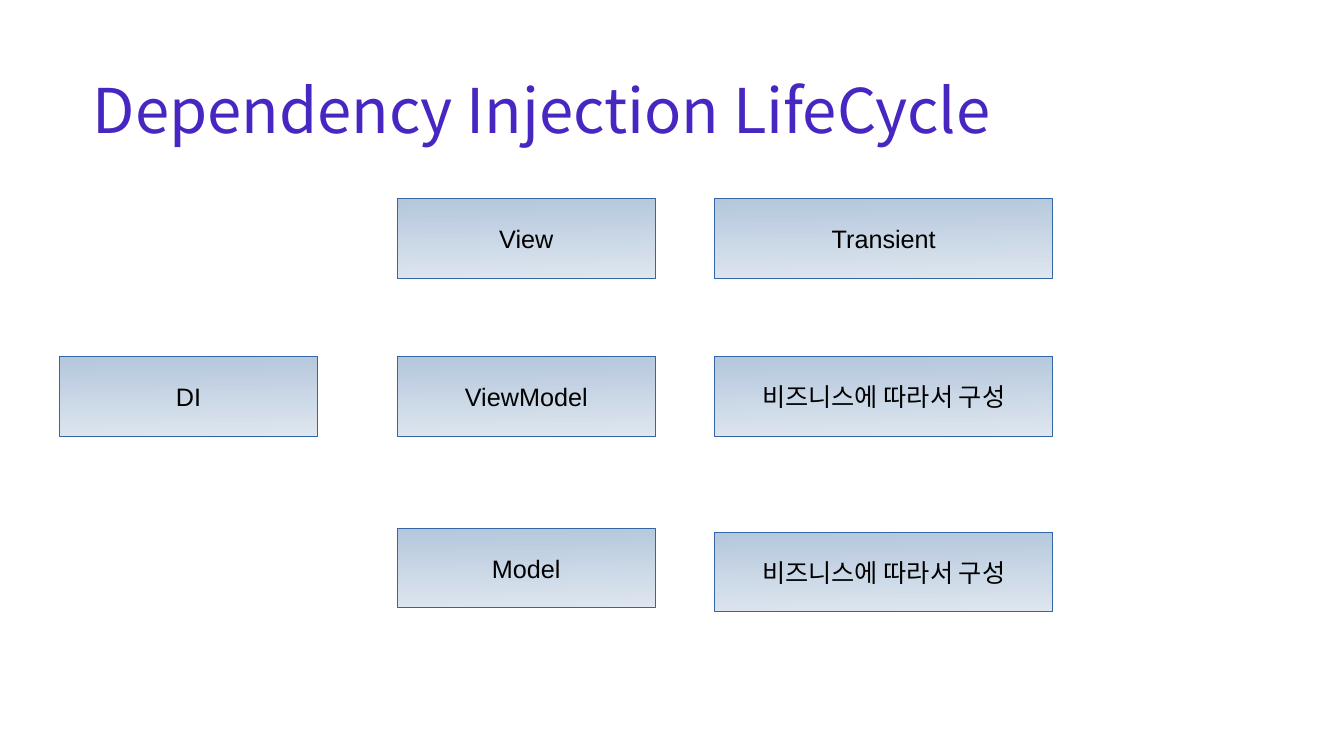
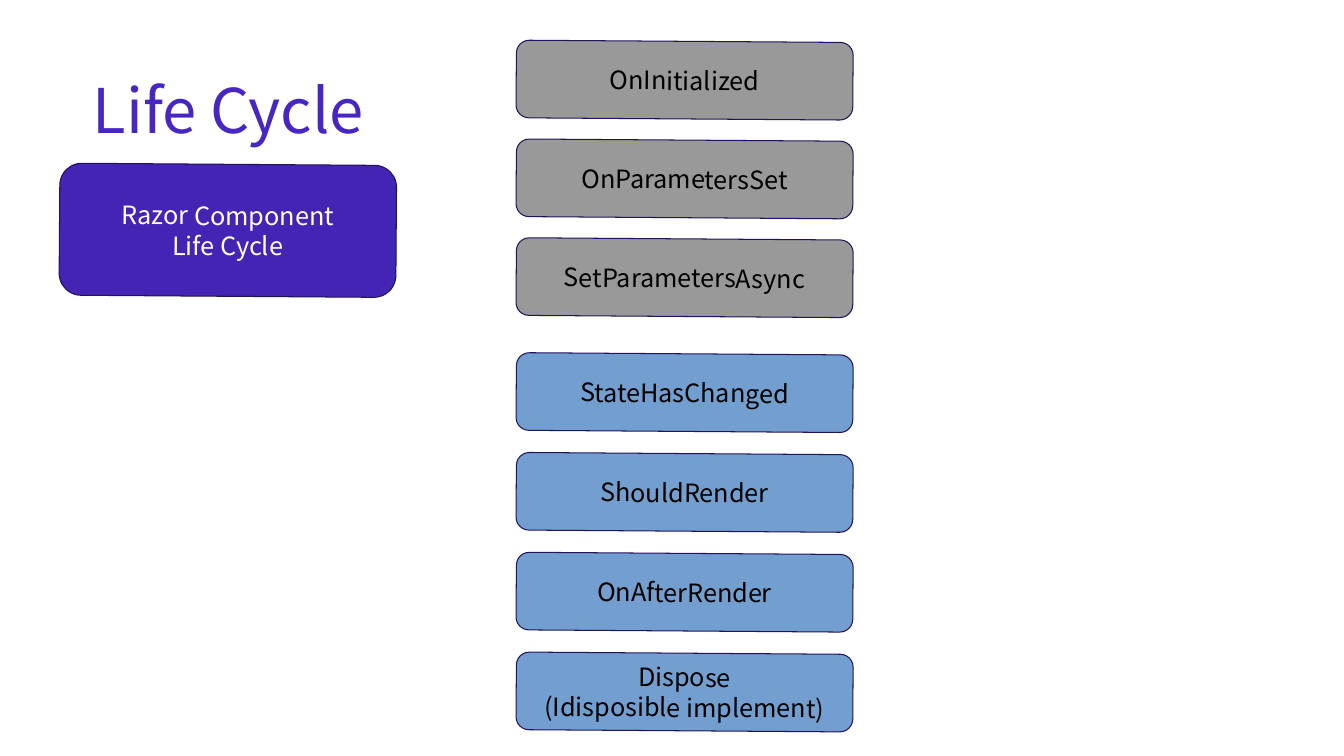
"""Build two slides on dependency injection and component life cycles."""
from dataclasses import dataclass
from typing import Any

from lxml.etree import SubElement
from pptx import Presentation
from pptx.dml.color import RGBColor
from pptx.enum.shapes import MSO_SHAPE
from pptx.enum.text import MSO_ANCHOR, PP_ALIGN
from pptx.oxml.ns import qn
from pptx.slide import Slide
from pptx.text.text import TextFrame
from pptx.util import Inches, Pt

NOTO = "Noto Sans CJK KR"
BLACK, WHITE = "000000", "FFFFFF"
TITLE_PURPLE, PURPLE, DARK_PURPLE = "4826C1", "4424B5", "22125B"
GREY, BLUE = "999999", "729FCF"
GRADIENT, GRADIENT_LINE = ("B4C7DC", "DEE6EF"), "3465A4"
TILT = 0.4


@dataclass(frozen=True)
class BoxStyle:
    """Look of a labelled box."""

    shape_type: MSO_SHAPE
    fills: tuple[str, ...]
    line: str
    font: str
    text_color: str = BLACK
    rotation: float = 0


@dataclass(frozen=True)
class Box:
    """Label and place of a box, in inches."""

    text: str
    left: float
    top: float
    width: float
    height: float


@dataclass(frozen=True)
class StepGroup:
    """Run of equally spaced life cycle steps."""

    fill: str
    top: float
    pitch: float
    labels: tuple[str, ...]


STEP_GROUPS = (
    StepGroup(GREY, 0.41, 0.98, ("OnInitialized", "OnParametersSet", "SetParametersAsync")),
    StepGroup(BLUE, 3.51, 0.99, ("StateHasChanged", "ShouldRender", "OnAfterRender",
                                 "Dispose\n(Idisposible implement)")),
)


def color(value: str) -> RGBColor:
    """Turn a hex string into a colour."""
    return RGBColor.from_string(value)


def apply_format(target: Any, values: dict[str, Any]) -> None:
    """Set every given attribute on the target."""
    for name, value in values.items():
        setattr(target, name, value)


def write_text(frame: TextFrame, text: str, size: int, font: str, text_color: str,
               paragraph_format: dict[str, Any]) -> None:
    """Fill a text frame with one paragraph per line of text."""
    apply_format(frame, {"word_wrap": True, "vertical_anchor": MSO_ANCHOR.MIDDLE})
    frame.text = text
    for paragraph in frame.paragraphs:
        apply_format(paragraph, paragraph_format)
        for run in paragraph.runs:
            apply_format(run.font, {"size": Pt(size), "name": font})
            run.font.color.rgb = color(text_color)
            SubElement(run.font._element, qn("a:ea")).set("typeface", NOTO)


def add_title(slide: Slide, text: str) -> None:
    """Add the shared slide title."""
    title = slide.shapes.add_textbox(Inches(0.92), Inches(0.4), Inches(11.5), Inches(1.45))
    margins = ("margin_left", "margin_top", "margin_right", "margin_bottom")
    apply_format(title.text_frame, dict.fromkeys(margins, 0))
    write_text(title.text_frame, text, 44, NOTO, TITLE_PURPLE, {"line_spacing": 0.9})


def add_box(slide: Slide, box: Box, style: BoxStyle) -> None:
    """Add a box with a solid or gradient fill and a centred label."""
    shape = slide.shapes.add_shape(style.shape_type, Inches(box.left), Inches(box.top),
                                   Inches(box.width), Inches(box.height))
    shape.shadow.inherit = False
    shape.rotation = style.rotation
    if len(style.fills) == 1:
        shape.fill.solid()
        shape.fill.fore_color.rgb = color(style.fills[0])
    else:
        shape.fill.gradient()
        shape.fill.gradient_angle = 271
        for stop, value in zip(shape.fill.gradient_stops, style.fills):
            stop.color.rgb = color(value)
    shape.line.color.rgb = color(style.line)
    shape.line.width = Pt(0)
    write_text(shape.text_frame, box.text, 18, style.font, style.text_color,
               {"alignment": PP_ALIGN.CENTER})


def rounded_style(fill: str, text_color: str = BLACK) -> BoxStyle:
    """Give the style of a slightly tilted rounded box."""
    return BoxStyle(MSO_SHAPE.FLOWCHART_ALTERNATE_PROCESS, (fill,), DARK_PURPLE,
                    NOTO, text_color, TILT)


def build_injection_slide(slide: Slide) -> None:
    """Draw the layers and their injection lifetimes."""
    add_title(slide, "Dependency Injection LifeCycle")
    style = BoxStyle(MSO_SHAPE.RECTANGLE, GRADIENT, GRADIENT_LINE, "Arial")
    by_business = "비즈니스에 따라서 구성"
    columns = (
        (0.59, 2.56, (("DI", 3.54),)),
        (3.94, 2.56, (("View", 1.97), ("ViewModel", 3.54), ("Model", 5.24))),
        (7.09, 3.35, (("Transient", 1.97), (by_business, 3.54), (by_business, 5.28))),
    )
    for left, width, entries in columns:
        for text, top in entries:
            add_box(slide, Box(text, left, top, width, 0.79), style)


def build_component_slide(slide: Slide) -> None:
    """Draw the component life cycle steps."""
    add_title(slide, "Life Cycle")
    add_box(slide, Box("Razor Component\nLife Cycle", 0.59, 1.63, 3.34, 1.31),
            rounded_style(PURPLE, WHITE))
    for group in STEP_GROUPS:
        for index, label in enumerate(group.labels):
            top = group.top + index * group.pitch
            add_box(slide, Box(label, 5.12, top, 3.34, 0.77), rounded_style(group.fill))


def main() -> None:
    """Build and save the presentation."""
    presentation = Presentation()
    apply_format(presentation, {"slide_width": Inches(13.33), "slide_height": Inches(7.5)})
    for build in (build_injection_slide, build_component_slide):
        build(presentation.slides.add_slide(presentation.slide_layouts[6]))
    presentation.save("out.pptx")


if __name__ == "__main__":
    main()
